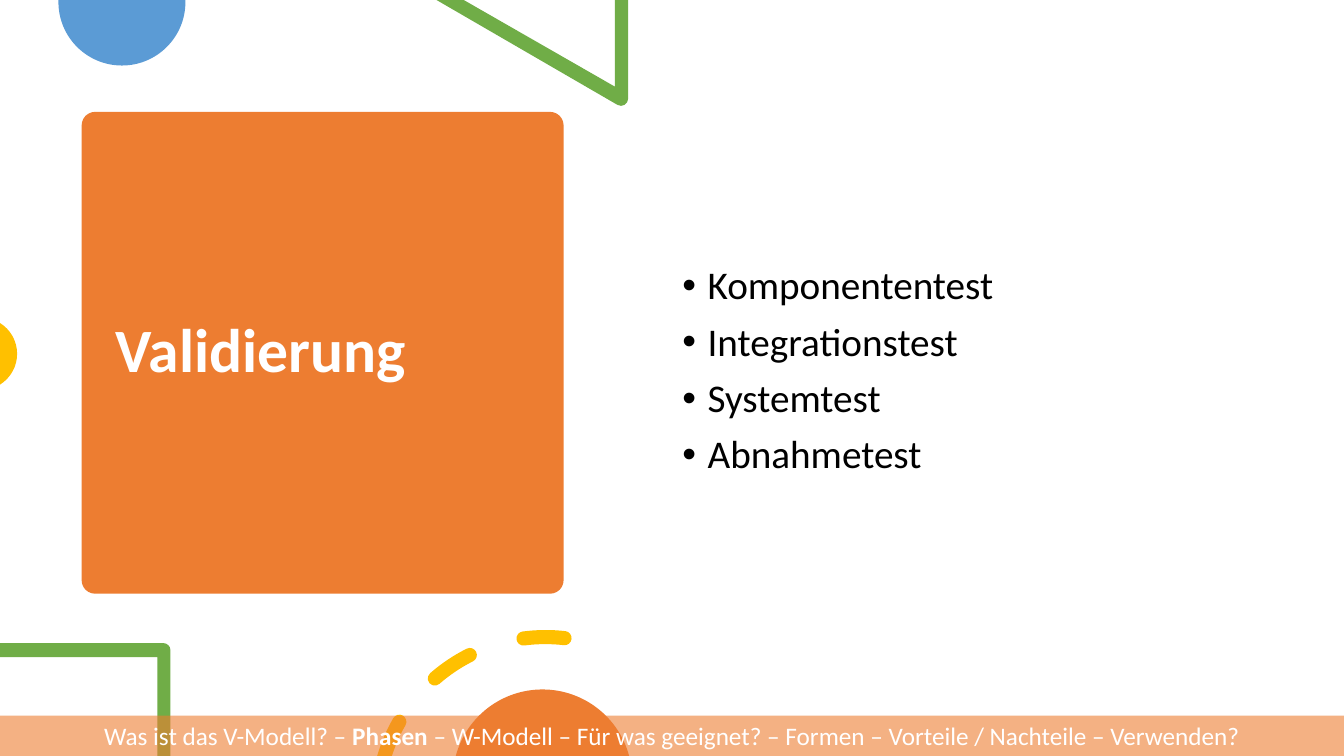
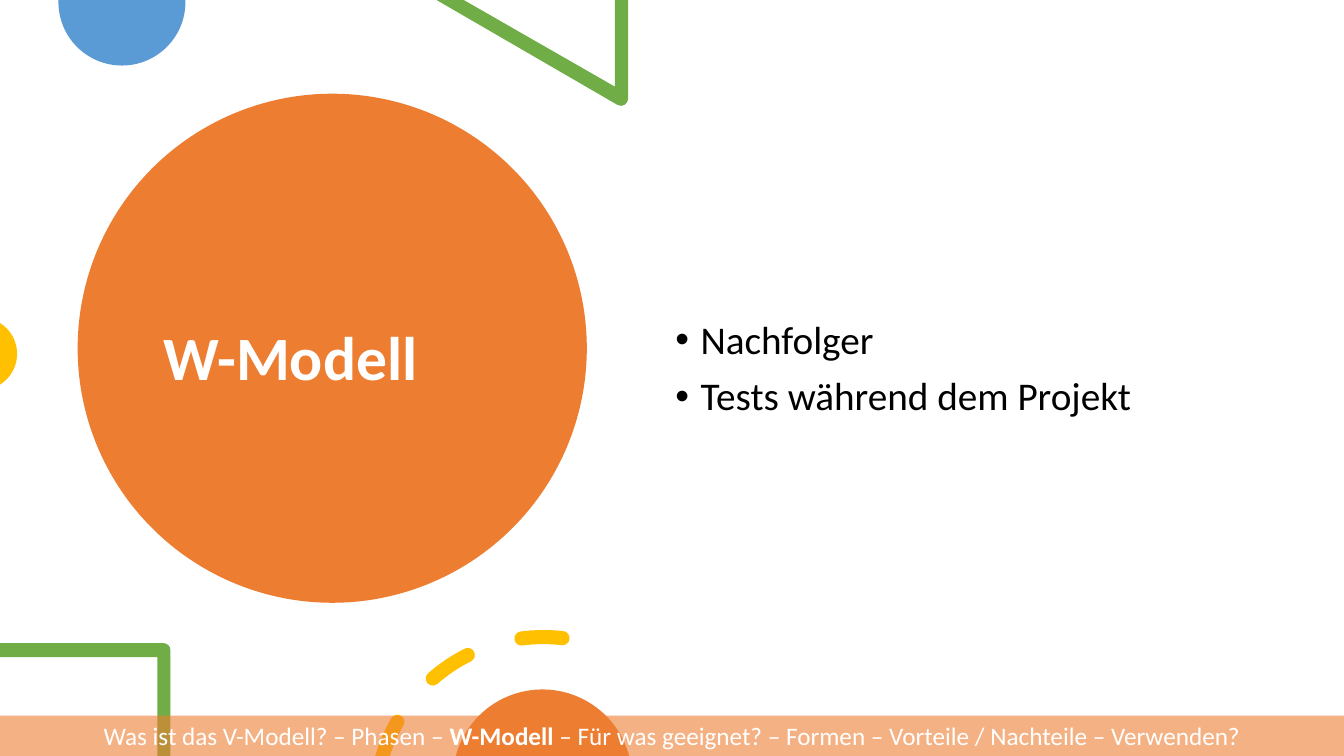
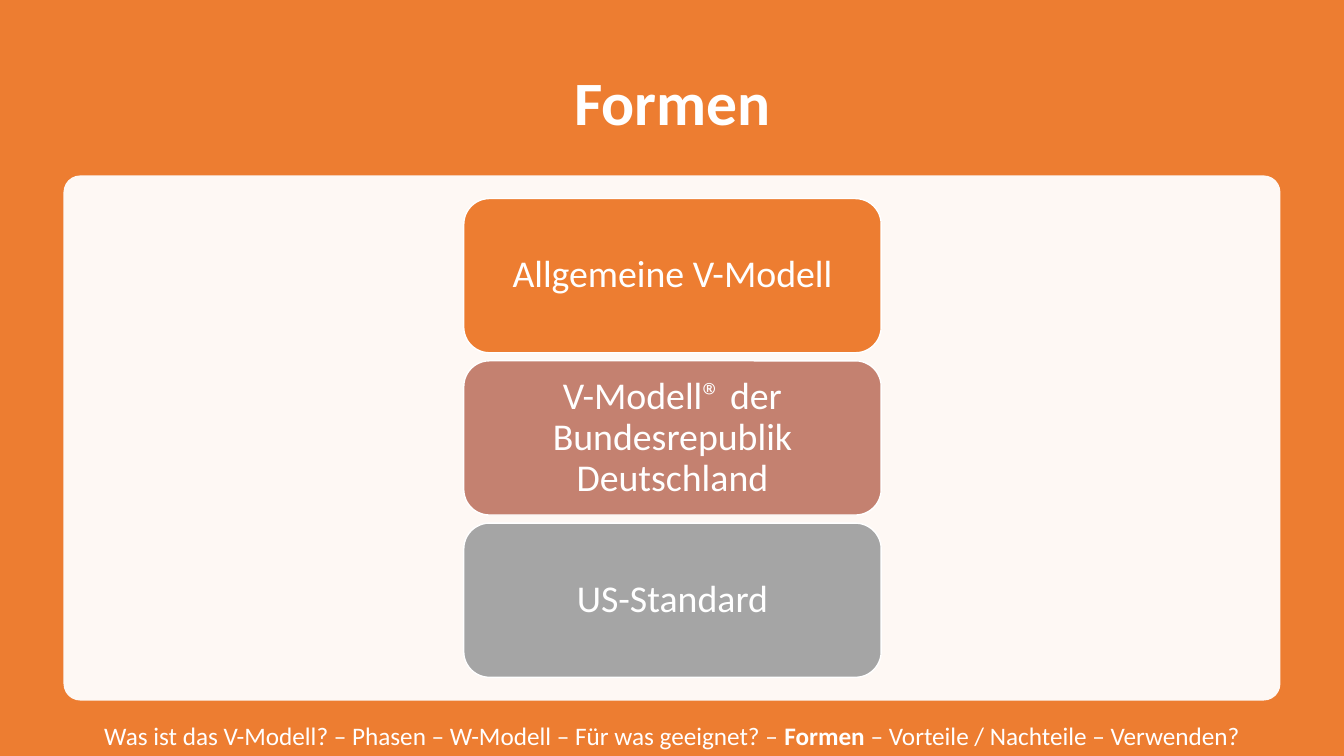
"""Three slides on the V-Modell: validation, the W-Modell and its forms."""
from math import asin, ceil, cos, degrees, radians, sin, tan

from lxml.etree import SubElement
from pptx import Presentation
from pptx.dml.color import RGBColor
from pptx.enum.shapes import MSO_SHAPE as Shape
from pptx.enum.text import MSO_ANCHOR as Anchor, MSO_AUTO_SIZE as AutoSize, PP_ALIGN as Align
from pptx.oxml.ns import qn
from pptx.util import Inches, Pt

WIDTH, HEIGHT = 13.33, 7.5
FONT = "Calibri"
ORANGE = RGBColor(0xED, 0x7D, 0x31)
BLUE = RGBColor(0x5B, 0x9B, 0xD5)
GREEN = RGBColor(0x70, 0xAD, 0x47)
YELLOW = RGBColor(0xFF, 0xC0, 0x00)
ROSE = RGBColor(0xC4, 0x81, 0x70)
GREY = RGBColor(0xA5, 0xA5, 0xA5)
WHITE = RGBColor(0xFF, 0xFF, 0xFF)
BLACK = RGBColor(0x00, 0x00, 0x00)

CHAPTERS = ["Was ist das V-Modell?", "Phasen", "W-Modell", "Für was geeignet?",
            "Formen", "Vorteile / Nachteile", "Verwenden?"]
SEPARATOR = " – "
TOPICS = [
    dict(title="Validierung", chapter="Phasen", emblem=Shape.ROUNDED_RECTANGLE,
         emblem_box=(0.81, 1.11, 4.78, 4.78), corner=0.028, title_box=(1.05, 1.22, 4.31, 4.56),
         points=["Komponententest", "Integrationstest", "Systemtest", "Abnahmetest"],
         points_box=(6.67, 2.59, 5.75, 2.82), ring_x=5.41),
    dict(title="W-Modell", chapter="W-Modell", emblem=Shape.OVAL,
         emblem_box=(0.77, 0.93, 5.05, 5.05), corner=None, title_box=(1.52, 1.35, 3.54, 4.45),
         points=["Nachfolger", "Tests während dem Projekt"],
         points_box=(6.6, 3.13, 5.75, 1.25), ring_x=5.39),
]
FORMS = [("Allgemeine V-Modell", ORANGE),
         ("V-Modell® der Bundesrepublik Deutschland", ROSE),
         ("US-Standard", GREY)]
FORM_LEFT, FORM_TOP, FORM_WIDTH, FORM_HEIGHT, FORM_PITCH = 4.6, 1.97, 4.14, 1.53, 1.61

DASH_ANGLES = [(150.2, 180), (116.7, 131.1), (83.5, 97.5)]
RING_Y, RING_RADIUS, DASH_HALF = 7.99, 1.67, 0.07


def write(shape, paragraphs, size, color=WHITE, bold=False, align=Align.LEFT,
          anchor=Anchor.MIDDLE, line=0.9, before=0, bullet=None, margins=(0.1, 0.05)):
    """Fill a shape with paragraphs, each a list of (text, bold) runs or a string."""
    frame = shape.text_frame
    frame.word_wrap, frame.auto_size, frame.vertical_anchor = True, AutoSize.NONE, anchor
    frame.margin_left = frame.margin_right = Inches(margins[0])
    frame.margin_top = frame.margin_bottom = Inches(margins[1])
    for index, content in enumerate(paragraphs):
        paragraph = frame.add_paragraph() if index else frame.paragraphs[0]
        paragraph.alignment, paragraph.line_spacing = align, line
        paragraph.space_before = Pt(before)
        if bullet:
            properties = paragraph._p.get_or_add_pPr()
            properties.set("marL", str(Inches(0.25)))
            properties.set("indent", str(-Inches(0.25)))
            SubElement(properties, qn("a:buFont")).set("typeface", "Arial")
            SubElement(properties, qn("a:buChar")).set("char", bullet)
        for text, heavy in [(content, bold)] if isinstance(content, str) else content:
            run = paragraph.add_run()
            run.text = text
            run.font.name, run.font.size, run.font.bold = FONT, Pt(size), heavy
            run.font.color.rgb = color


def paint(shape, fill, opacity=100, outline=None):
    """Give a shape a flat fill, optional outline and no shadow."""
    shape.shadow.inherit = False
    shape.fill.solid()
    shape.fill.fore_color.rgb = fill
    if opacity < 100:
        tone = shape.fill._xPr.find(qn("a:solidFill"))[0]
        SubElement(tone, qn("a:alpha")).set("val", str(opacity * 1000))
    if outline is None:
        shape.line.fill.background()
    else:
        shape.line.color.rgb, shape.line.width = outline, Pt(1)
    return shape


def add_block(slide, kind, box, fill, corner=None, **look):
    """Add a painted preset shape."""
    block = slide.shapes.add_shape(kind, *map(Inches, box))
    if corner is not None:
        block.adjustments[0] = corner
    return paint(block, fill, **look)


def on_circle(x, y, radius, angle):
    """Return the point at an angle counted anticlockwise in degrees."""
    return x + radius * cos(radians(angle)), y - radius * sin(radians(angle))


def arc(x, y, radius, start, end):
    """Return a start point and the cubic curves of an arc, one per quarter turn at most."""
    count = ceil(abs(end - start) / 90)
    turn = (end - start) / count
    reach = radius * 4 / 3 * tan(radians(turn) / 4)
    segments = [(on_circle(x, y, radius, start),)]
    for index in range(count):
        a, b = start + index * turn, start + (index + 1) * turn
        segments.append((on_circle(*on_circle(x, y, radius, a), reach, a + 90),
                         on_circle(*on_circle(x, y, radius, b), -reach, b + 90),
                         on_circle(x, y, radius, b)))
    return segments


def corners(*points):
    """Return straight segments through the points."""
    return [(point,) for point in points]


def dash(x, start, end):
    """Return a round-ended piece of the ring, cut straight at the slide edge."""
    def edge(radius):
        return 180 - degrees(asin((RING_Y - HEIGHT) / radius))

    outer, inner = RING_RADIUS + DASH_HALF, RING_RADIUS - DASH_HALF
    first, last = (on_circle(x, RING_Y, RING_RADIUS, angle) for angle in (start, end))
    cut = end > edge(RING_RADIUS)
    far_end = [] if cut else arc(*last, DASH_HALF, end, end + 180)[1:]
    inside = arc(x, RING_Y, inner, min(end, edge(inner)), start)
    return (arc(x, RING_Y, outer, start, min(end, edge(outer))) + far_end
            + (inside if cut else inside[1:])
            + arc(*first, DASH_HALF, start + 180, start + 360)[1:])


def add_outline(slide, color, *contours):
    """Draw contours of lines and cubic curves as one freeform."""
    builder = None
    for (start,), *segments in contours:
        if builder is None:
            builder = slide.shapes.build_freeform(*map(Inches, start))
        else:
            builder.move_to(*map(Inches, start))
        builder.add_line_segments([tuple(map(Inches, point))
                                   for segment in segments for point in segment])
    shape = builder.convert_to_shape()
    nodes = iter(list(shape.element.iter(qn("a:lnTo"))))
    for _, *segments in contours:
        for segment in segments:
            node, *others = [next(nodes) for _ in segment]
            if others:
                node.tag = qn("a:cubicBezTo")
            for other in others:
                node.append(other[0])
                other.getparent().remove(other)
    paint(shape, color)


def add_decoration(slide, ring_x):
    """Draw the coloured outlines around the emblem."""
    add_outline(slide, BLUE, corners((1.84, 0), (0.58, 0)) + arc(1.21, 0.02, 0.63, 180, 360))
    add_outline(slide, GREEN,
                corners((6.23, 0), (6.1, 0), (6.1, 0.86), (4.6, 0), (4.33, 0))
                + arc(6.16, 0.98, 0.07, 240, 360))
    add_outline(slide, YELLOW, arc(-0.19, 3.51, 0.36, -58, 58))
    add_outline(slide, GREEN,
                corners((0, 6.38), (0, 6.52), (1.56, 6.52), (1.56, 7.5), (1.69, 7.5))
                + arc(1.62, 6.45, 0.07, 0, 90))
    add_outline(slide, YELLOW, *[dash(ring_x, *angles) for angles in DASH_ANGLES])
    add_outline(slide, ORANGE, arc(5.38, 7.73, 0.89, 15, 165))


def add_title(slide, text, box, backdrop, align=Align.LEFT):
    """Place the title placeholder just in front of its backdrop."""
    title = slide.shapes.title
    title.left, title.top, title.width, title.height = map(Inches, box)
    write(title, [text], 44, bold=True, align=align)
    backdrop.element.addnext(title.element)


def add_footer(slide, current):
    """Draw the chapter band with the current chapter in bold."""
    band = add_block(slide, Shape.RECTANGLE, (0, 7.1, WIDTH, 0.4), ORANGE, opacity=60)
    before, after = SEPARATOR.join(CHAPTERS).split(SEPARATOR + current + SEPARATOR)
    runs = [(before + SEPARATOR, False), (current, True), (SEPARATOR + after, False)]
    write(band, [runs], 18, align=Align.CENTER, line=1)


def add_topic(slide, topic):
    """Build a slide with an emblem title and bullet points."""
    emblem = add_block(slide, topic["emblem"], topic["emblem_box"], ORANGE, topic["corner"])
    add_title(slide, topic["title"], topic["title_box"], emblem)
    add_decoration(slide, topic["ring_x"])
    points = slide.shapes.add_textbox(*map(Inches, topic["points_box"]))
    write(points, topic["points"], 28, color=BLACK, anchor=Anchor.TOP, before=10, bullet="•")
    add_footer(slide, topic["chapter"])


def add_forms(slide):
    """Build the slide with the stacked forms."""
    backdrop = add_block(slide, Shape.RECTANGLE, (0, 0, WIDTH, HEIGHT), ORANGE)
    add_title(slide, "Formen", (0.92, 0.5, 11.5, 1.1), backdrop, Align.CENTER)
    add_block(slide, Shape.ROUNDED_RECTANGLE, (0.63, 1.74, 12.07, 5.21), WHITE, 0.032, opacity=95)
    for index, (name, color) in enumerate(FORMS):
        box = (FORM_LEFT, FORM_TOP + index * FORM_PITCH, FORM_WIDTH, FORM_HEIGHT)
        form = add_block(slide, Shape.ROUNDED_RECTANGLE, box, color, outline=WHITE)
        write(form, [name], 27, align=Align.CENTER, margins=(0.11, 0.06))
    add_footer(slide, "Formen")


def main():
    """Build and save the presentation."""
    deck = Presentation()
    deck.slide_width, deck.slide_height = Inches(WIDTH), Inches(HEIGHT)
    title_only = deck.slide_layouts[5]
    for topic in TOPICS:
        add_topic(deck.slides.add_slide(title_only), topic)
    add_forms(deck.slides.add_slide(title_only))
    deck.save("out.pptx")


if __name__ == "__main__":
    main()
